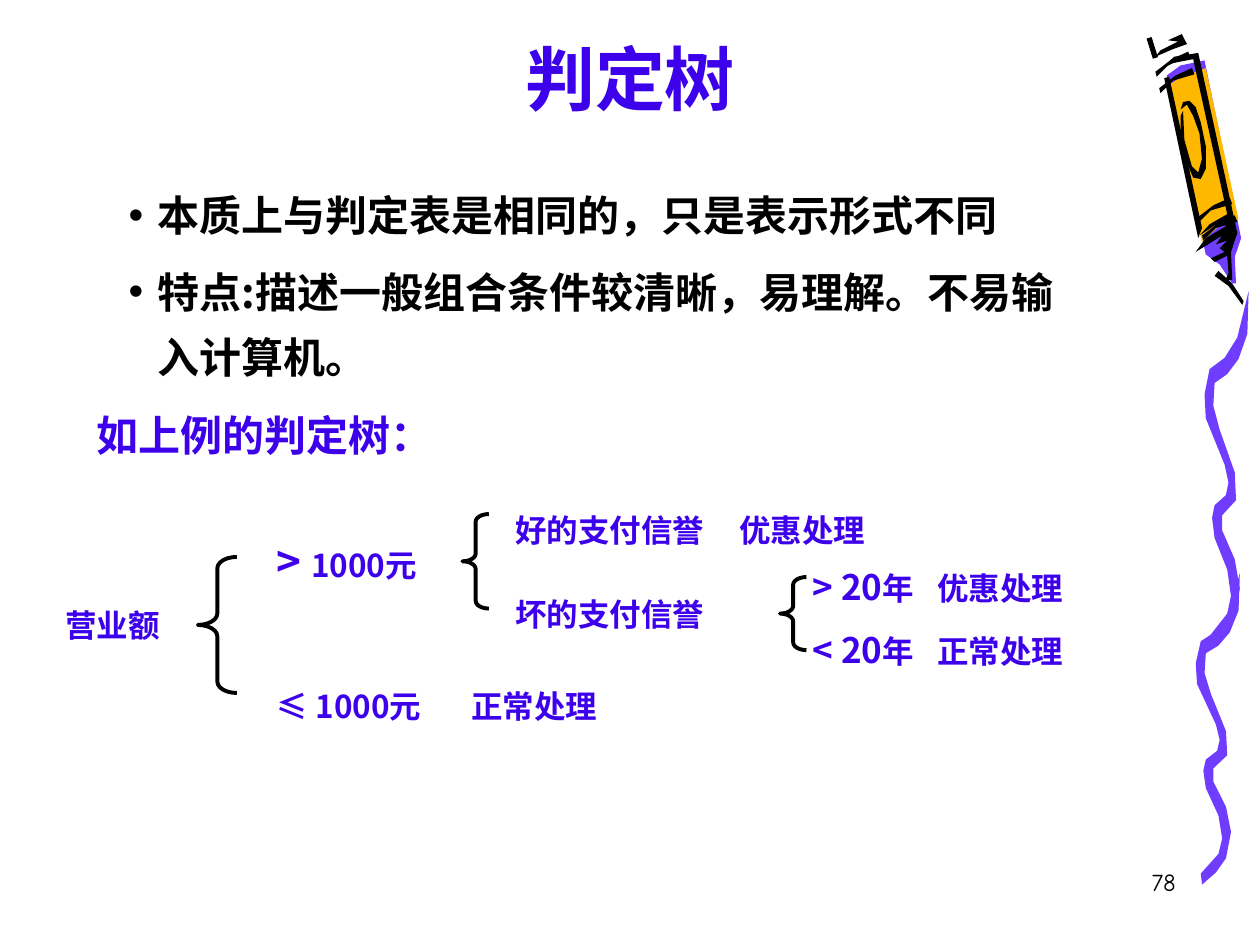
from lxml import etree
from pptx import Presentation
from pptx.dml.color import RGBColor
from pptx.enum.shapes import MSO_CONNECTOR, MSO_SHAPE
from pptx.enum.text import MSO_ANCHOR, MSO_AUTO_SIZE, PP_ALIGN
from pptx.oxml.ns import qn
from pptx.util import Inches, Pt

STRAIGHT = MSO_CONNECTOR.STRAIGHT
LEFT_BRACE = MSO_SHAPE.LEFT_BRACE
TOP, BOTTOM = MSO_ANCHOR.TOP, MSO_ANCHOR.BOTTOM
NO_AUTOFIT = MSO_AUTO_SIZE.NONE
CENTER, LEFT, RIGHT = PP_ALIGN.CENTER, PP_ALIGN.LEFT, PP_ALIGN.RIGHT

BLACK, BLUE, PURPLE, AMBER = "000000", "3D00EA", "703DFF", "FFB800"
CJK, ARIAL, COMIC = "Noto Sans CJK SC", "Arial", "Comic Neue"
UNIT = 0.01  # outlines are drawn on a grid of hundredths of an inch
rgb = RGBColor.from_string


def draw_outline(points, color, left, top, stretch=1):
    """Fill a closed outline whose grid starts at left, top; stretch scales its height."""
    scale = (Inches(UNIT), Inches(UNIT * stretch))
    builder = s.shapes.build_freeform(*points[0], scale=scale)
    builder.add_line_segments(points[1:], close=True)
    sp = builder.convert_to_shape(Inches(left), Inches(top))
    sp.shadow.inherit = False
    sp.fill.solid()
    sp.fill.fore_color.rgb = rgb(color)
    sp.line.fill.background()


def fill_text(sp, box, paragraphs, color=BLUE, bold=True, align=LEFT, anchor=TOP):
    """Place a text shape; each paragraph is (line spacing, space before, tab, runs)."""
    sp.left, sp.top, sp.width, sp.height = [Inches(v) for v in box]
    tf = sp.text_frame
    tf.word_wrap = True
    tf.auto_size = NO_AUTOFIT
    tf.vertical_anchor = anchor
    for i, (spacing, before, tab, runs) in enumerate(paragraphs):
        p = tf.paragraphs[0] if i == 0 else tf.add_paragraph()
        p.alignment = align
        p.line_spacing = spacing
        p.space_before = Pt(before)
        if tab:
            tabs = etree.SubElement(p._p.get_or_add_pPr(), qn("a:tabLst"))
            etree.SubElement(tabs, qn("a:tab"), pos=str(Inches(tab)), algn="l")
        for text, size, font in runs:
            r = p.add_run()
            r.text = text
            r.font.size = Pt(size)
            r.font.bold = bold
            r.font.name = font
            r.font.color.rgb = rgb(color)
            etree.SubElement(r._r.get_or_add_rPr(), qn("a:ea"), typeface=CJK)


prs = Presentation()
prs.slide_width, prs.slide_height = Inches(10), Inches(7.5)
s = prs.slides.add_slide(prs.slide_layouts[1])

# Squiggle: one ribbon, up its left bank and down its right, drawn twice
left_bank = [(4, 274), (18, 256), (21, 242), (18, 221), (8, 196), (6, 180), (8, 170), (17, 162),
             (19, 152), (16, 138), (1, 101), (0, 82), (4, 62), (16, 53), (26, 37), (35, 0)]
right_bank = [(34, 34), (27, 54), (18, 66), (8, 73), (7, 91), (12, 110), (24, 144), (25, 166),
              (14, 178), (14, 190), (24, 213), (28, 236), (24, 260), (16, 273), (5, 284)]
for left, top, stretch in [(9.49, 4.55, 0.87), (9.56, 2.31, 1)]:
    draw_outline(left_bank + right_bank, PURPLE, left, top, stretch)

# Crayon: its parts share one grid, from back to front
CRAYON_LEFT, CRAYON_TOP = 9, 0
shade = [(26, 60), (57, 202), (68, 210), (78, 225), (81, 225), (80, 204), (85, 189),
         (56, 48), (37, 52)]
barrel = [(54, 192), (68, 179), (83, 174), (57, 54), (36, 62), (27, 68)]
barrel_left_edge = [(24, 62), (51, 189), (54, 181), (28, 61)]
cap_and_right_edge = [(74, 170), (47, 47), (31, 50), (20, 56), (32, 45), (51, 42), (82, 185)]
tip = [(77, 200), (78, 222), (72, 223), (75, 217), (74, 203), (64, 208), (61, 205)]
tip_scribble = [(72, 200), (68, 197), (74, 191), (65, 194), (70, 187), (49, 200),
                (57, 189), (74, 179), (64, 179), (52, 187), (60, 178)]
lead = [(64, 219), (75, 227), (86, 242), (87, 239), (78, 225), (67, 215)]
top_flick = [(17, 45), (31, 39), (42, 35), (38, 27), (27, 32), (35, 33), (21, 40)]
oval_outside = [(37, 92), (37, 106), (41, 127), (47, 141), (53, 142), (57, 134), (57, 116),
                (53, 97), (49, 85), (44, 80), (39, 81), (37, 87)]
oval_inside = [(42, 83), (47, 92), (52, 106), (54, 126), (51, 137), (46, 132), (40, 111), (39, 88)]
for part, color in [
    (shade, PURPLE),
    (barrel, AMBER),
    (lead, BLACK),
    (top_flick, BLACK),
    (oval_outside + oval_inside, BLACK),
    (barrel_left_edge, BLACK),
    (cap_and_right_edge + tip + tip_scribble, BLACK),
]:
    draw_outline(part, color, CRAYON_LEFT, CRAYON_TOP)

# Rings around the barrel: one curved band, two at each end
ring = [(1, 20), (11, 10), (28, 5), (26, 0), (13, 6), (0, 16)]
for left, top in [(9.17, 0.41), (9.2, 0.54), (9.5, 1.57), (9.54, 1.71)]:
    draw_outline(ring, BLACK, left, top)

tick = s.shapes.add_connector(STRAIGHT, Inches(9.12), Inches(0.3), Inches(9.17), Inches(0.46))
tick.line.color.rgb = rgb(BLACK)
tick.line.width = Pt(3)
etree.SubElement(tick._element.spPr, qn("a:effectLst"))

# Title
fill_text(s.shapes.title, (0.5, 0.17, 9, 0.83), [(1, 0, None, [("判定树", 40, COMIC)])],
          align=CENTER, anchor=BOTTOM)

# Bulleted list
body = s.placeholders[1]
fill_text(body, (0.92, 1.5, 7.75, 1.59), [
    (0.9, 0, None, [("本质上与判定表是相同的，只是表示形式不同", 24, CJK)]),
    (1.3, 6, None, [("特点:描述一般组合条件较清晰，易理解。不易输入计算机。", 24, CJK)]),
], color=BLACK)
for p in body.text_frame.paragraphs:
    pPr = p._p.get_or_add_pPr()
    pPr.set("marL", str(Inches(0.23)))
    pPr.set("indent", str(-Inches(0.23)))
    etree.SubElement(pPr, qn("a:buChar"), char="•")

# Decision tree labels; tabs separate a condition from its outcome
heading = [(1.3, 0, None, [("如上例的判定树：", 24, ARIAL)])]
turnover = [(1.3, 0, None, [("营业额", 18, ARIAL)])]
amounts = [
    (1.3, 0, None, [("> ", 24, CJK), ("1000元", 18, CJK)]),
    (1.3, 51.5, 1.54, [("≤ 1000元\t正常处理", 18, CJK)]),
]
credit = [
    (1.3, 0, 1.78, [("好的支付信誉\t优惠处理", 18, ARIAL)]),
    (1.7, 11.2, None, [("坏的支付信誉", 18, ARIAL)]),
]
years = [
    (1.3, 0, 0.99, [("> 20", 20, CJK), ("年\t", 18, CJK), ("优惠处理", 18, ARIAL)]),
    (1.3, 4.5, 0.99, [("< 20", 20, CJK), ("年\t正常处理", 18, CJK)]),
]
for box, paragraphs in [
    ((0.67, 3.08, 3.17, 0.62), heading),
    ((0.42, 4.67, 1.26, 0.49), turnover),
    ((2.1, 4.08, 4.83, 1.71), amounts),
    ((3.99, 3.92, 4.62, 1.16), credit),
    ((6.35, 4.34, 3.23, 1.03), years),
]:
    fill_text(s.shapes.add_textbox(0, 0, 0, 0), box, paragraphs)

# Braces that open each branch
for box in [(1.57, 4.42, 0.31, 1.08), (3.67, 4.08, 0.21, 0.75), (6.19, 4.58, 0.21, 0.58)]:
    brace = s.shapes.add_shape(LEFT_BRACE, *[Inches(v) for v in box])
    brace.adjustments[0] = 0.29
    brace.shadow.inherit = False
    brace.fill.background()
    brace.line.color.rgb = rgb(BLACK)
    brace.line.width = Pt(2.25)

# Page number
fill_text(s.shapes.add_textbox(0, 0, 0, 0), (7.35, 6.83, 2.08, 0.5),
          [(1, 0, None, [("78", 14, COMIC)])], color=BLACK, bold=False, align=RIGHT)

prs.save("out.pptx")
